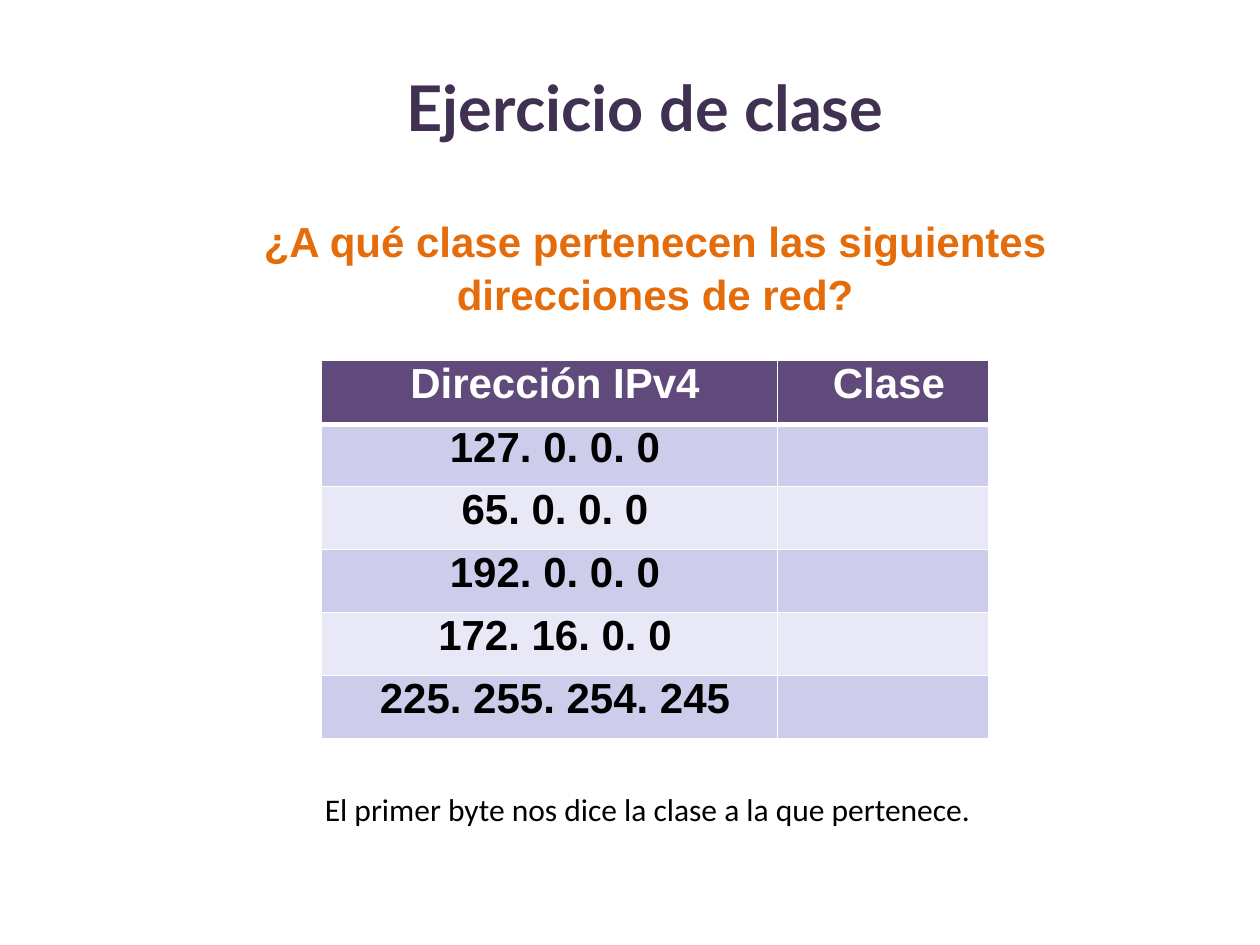
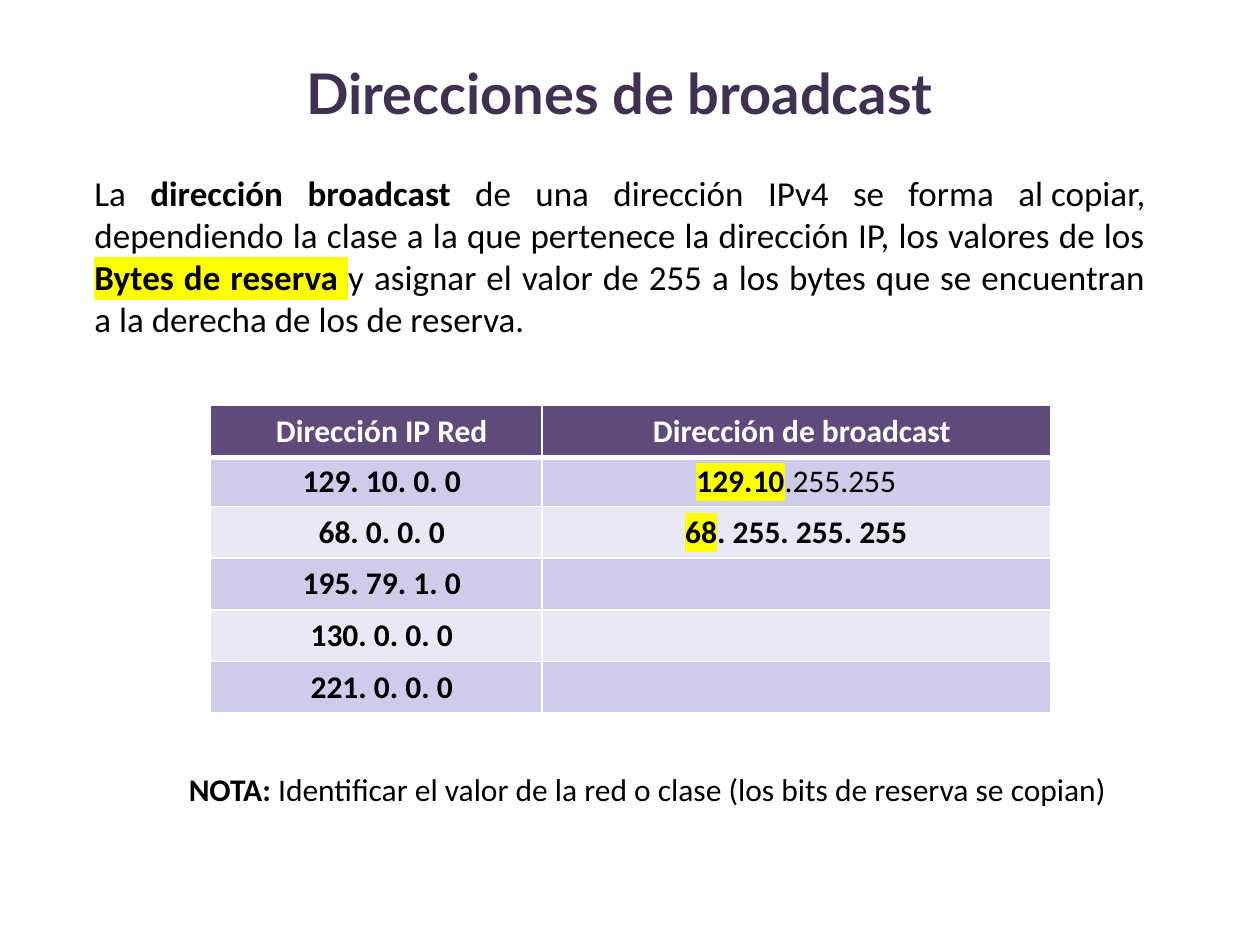
from itertools import cycle

from pptx import Presentation
from pptx import util as u
from pptx.dml.color import RGBColor
from pptx.enum import text
from pptx.oxml.ns import qn
from lxml import etree

# Shared colours, fonts and alignments
PLUM = RGBColor(0x40, 0x31, 0x52)
HEADER = RGBColor(0x60, 0x4A, 0x7B)
BANDS = (RGBColor(0xCD, 0xCD, 0xEB), RGBColor(0xE8, 0xE8, 0xF6))
ORANGE = RGBColor(0xE4, 0x6C, 0x0A)
YELLOW = RGBColor(0xFF, 0xFF, 0x00)
WHITE = RGBColor(0xFF, 0xFF, 0xFF)
BLACK = RGBColor(0x00, 0x00, 0x00)
TITLE_FONT, BODY_FONT, ACCENT_FONT = "Lato", "Calibri", "Arial"
LEFT, CENTER, JUSTIFY = (text.PP_ALIGN.LEFT, text.PP_ALIGN.CENTER,
                         text.PP_ALIGN.JUSTIFY)
TOP, MIDDLE = text.MSO_ANCHOR.TOP, text.MSO_ANCHOR.MIDDLE

# Grid of the slide, and text insets in grid units
COLUMNS, ROWS = 100, 75
NO_INSETS = (0, 0, 0, 0)
PADDED = (1, 0.5, 1, 0.5)
CELL_INDENT = 0.9
NBSP = chr(160)


class Deck:
    """Holds the style and the current slide."""

    def __init__(self):
        self.prs = Presentation()
        self.prs.slide_width, self.prs.slide_height = u.Inches(10), u.Inches(7.5)
        self.s = None

    def x(self, columns):
        return u.Emu(round(columns * self.prs.slide_width / COLUMNS))

    def y(self, rows):
        return u.Emu(round(rows * self.prs.slide_height / ROWS))

    def new_slide(self):
        self.s = self.prs.slides.add_slide(self.prs.slide_layouts[6])

    def run(self, p, words, size, font, color, bold=False, mark=None, gap=0):
        r = p.add_run()
        r.text = words
        r.font.size, r.font.name, r.font.bold = u.Pt(size), font, bold
        r.font.color.rgb = color
        rpr = r.font._element
        if gap:
            rpr.set("spc", str(round(gap * 100)))
        if mark is not None:
            hl = etree.Element(qn("a:highlight"))
            etree.SubElement(hl, qn("a:srgbClr"), val=str(mark))
            rpr.find(qn("a:solidFill")).addnext(hl)

    def fill_paragraph(self, p, runs, align, indent=0, **style):
        """Each run is a text and its differences from the style."""
        if indent:
            ppr = p._p.get_or_add_pPr()
            ppr.set("marL", str(self.x(indent)))
            ppr.set("indent", "0")
        p.alignment = align
        for words, changes in runs:
            self.run(p, words, **{**style, **changes})

    def text_box(self, box, runs, align=LEFT, anchor=TOP, insets=NO_INSETS,
                 spacing=None, size=18, font=BODY_FONT, color=BLACK, bold=False):
        left, top, width, height = box
        sp = self.s.shapes.add_textbox(self.x(left), self.y(top),
                                       self.x(width), self.y(height))
        tf = sp.text_frame
        tf.word_wrap, tf.vertical_anchor = True, anchor
        tf.margin_left, tf.margin_right = self.x(insets[0]), self.x(insets[2])
        tf.margin_top, tf.margin_bottom = self.y(insets[1]), self.y(insets[3])
        p = tf.paragraphs[0]
        if spacing:
            p.line_spacing = spacing
        self.fill_paragraph(p, runs, align, size=size, font=font,
                            color=color, bold=bold)

    def title(self, box, words, size, insets):
        self.text_box(box, [(words, {})], CENTER, MIDDLE, insets,
                      size=size, font=TITLE_FONT, color=PLUM, bold=True)

    def borders(self, cell, top, bottom):
        tcpr = cell._tc.get_or_add_tcPr()
        widths = {"a:lnL": 1, "a:lnR": 1, "a:lnT": top, "a:lnB": bottom}
        for i, (tag, width) in enumerate(widths.items()):
            ln = etree.Element(qn(tag), w=str(u.Pt(width)))
            fill = etree.SubElement(ln, qn("a:solidFill"))
            etree.SubElement(fill, qn("a:srgbClr"), val=str(WHITE))
            tcpr.insert(i, ln)

    def table(self, left, top, widths, heights, rows, anchor, size, font):
        """A cell is a text, or a list of runs."""
        tbl = self.s.shapes.add_table(
            len(heights), len(widths), self.x(left), self.y(top),
            self.x(sum(widths)), self.y(sum(heights))).table
        for column, width in zip(tbl.columns, widths):
            column.width = self.x(width)
        bands = cycle(BANDS)
        for i, (cells, height) in enumerate(zip(rows, heights)):
            tbl.rows[i].height = self.y(height)
            band = HEADER if i == 0 else next(bands)
            for j, content in enumerate(cells):
                cell = tbl.cell(i, j)
                cell.fill.solid()
                cell.fill.fore_color.rgb = band
                cell.margin_left = cell.margin_right = 0
                cell.margin_top = cell.margin_bottom = 0
                cell.vertical_anchor = anchor
                self.borders(cell, 3 if i == 1 else 1, 3 if i == 0 else 1)
                if not content:
                    continue
                plain = isinstance(content, str)
                self.fill_paragraph(
                    cell.text_frame.paragraphs[0],
                    [(content, {})] if plain else content, CENTER,
                    CELL_INDENT if plain else 0, size=size, font=font,
                    color=BLACK if i else WHITE, bold=True)


def class_exercise(deck):
    deck.new_slide()
    # Question
    deck.text_box((20.1, 16.9, 63.8, 8.1),
                  [("¿A qué clase pertenecen las siguientes direcciones de red?", {})],
                  CENTER, spacing=1.05, size=24, font=ACCENT_FONT,
                  color=ORANGE, bold=True)
    # Addresses to classify
    addresses = ["127. 0. 0. 0", "65. 0. 0. 0", "192. 0. 0. 0",
                 "172. 16. 0. 0", "225. 255. 254. 245"]
    deck.table(25.5, 28.6, [36.2, 16.8], [5.1, 4.9] + [5] * 4,
               [("Dirección IPv4", "Clase")] + [(a, "") for a in addresses],
               TOP, 24, ACCENT_FONT)
    # Title and hint
    deck.title((2.2, 2.2, 98, 12.5), "Ejercicio de clase", 36, PADDED)
    deck.text_box((24.8, 62.2, 64.6, 4),
                  [("El primer byte nos dice la clase a la que pertenece.", {})],
                  insets=PADDED)


def broadcast_addresses(deck):
    deck.new_slide()
    deck.title((7.5, 2.5, 83.4, 7.5), "Direcciones de broadcast", 32, (0, 2.1, 0, 0))

    # Definition, its first line set with wide word gaps
    strong, marked = {"bold": True}, {"bold": True, "mark": YELLOW}
    first_line = [("La", {}), ("dirección", strong), ("broadcast", strong)]
    first_line += [(word, {}) for word in "de una dirección IPv4 se forma".split()]
    definition = []
    for word in first_line:
        definition += [word, (" ", {"gap": 9})]
    definition += [
        (f"al{NBSP}copiar, dependiendo la clase a la que pertenece la dirección IP, "
         "los valores de los ", {}),
        ("Bytes de reserva ", marked),
        ("y asignar el valor de 255 a los bytes que se encuentran "
         f"a{NBSP}la{NBSP}derecha de los de reserva.", {}),
    ]
    deck.text_box((7.5, 13.6, 83.4, 13.5), definition, JUSTIFY, size=20)

    # Networks and their broadcast addresses
    deck.table(16.7, 32.2, [26.3, 40.4], [4.1, 3.9] + [4.1] * 4, [
        ("Dirección IP Red", "Dirección de broadcast"),
        ("129. 10. 0. 0", [("129.10", marked), (".255.255", {"bold": False})]),
        ("68. 0. 0. 0", [("68", marked), (". 255. 255. 255", {})]),
        ("195. 79. 1. 0", ""),
        ("130. 0. 0. 0", ""),
        ("221. 0. 0. 0", ""),
    ], MIDDLE, 18, BODY_FONT)

    # Note
    deck.text_box((14, 60.6, 83.4, 4), [
        ("NOTA: ", strong),
        ("Identificar el valor de la red o clase "
         "(los bits de reserva se copian)", {}),
    ], JUSTIFY, insets=PADDED)


def main():
    deck = Deck()
    class_exercise(deck)
    broadcast_addresses(deck)
    deck.prs.save("out.pptx")


if __name__ == "__main__":
    main()
